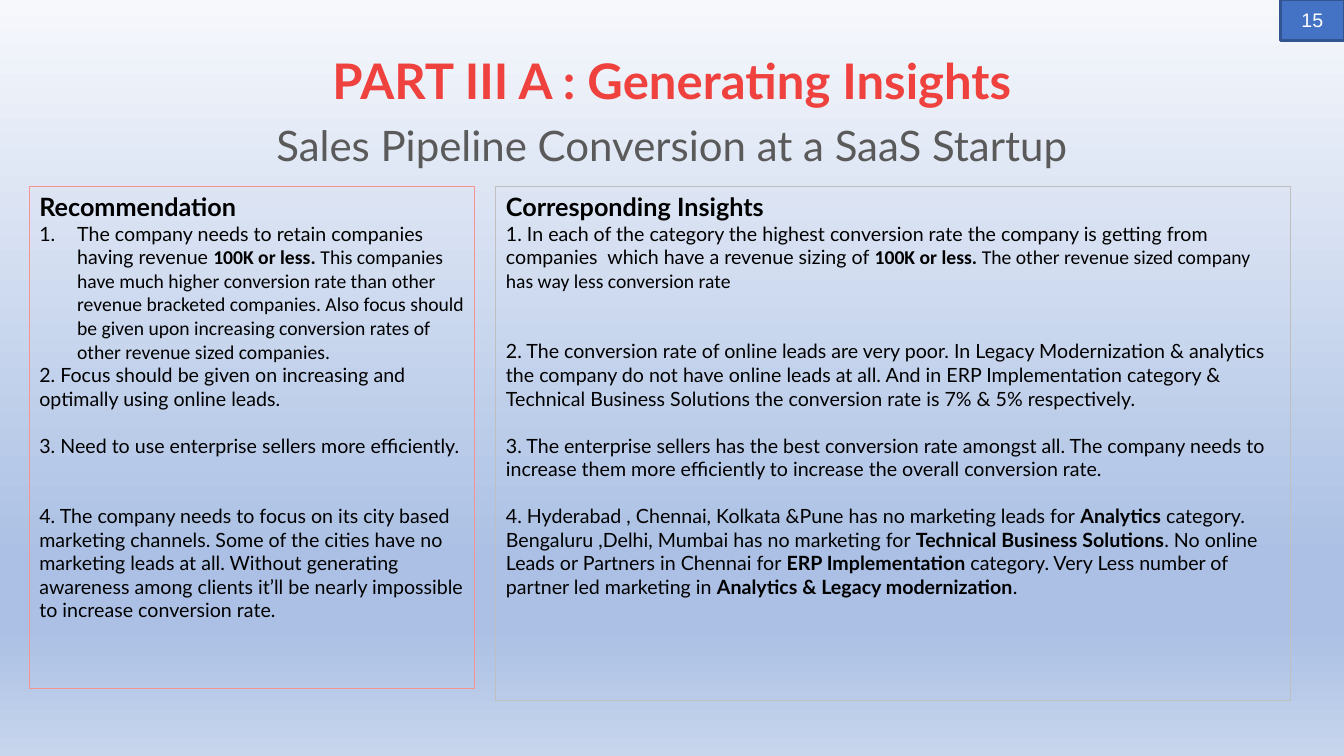
from copy import deepcopy

from lxml.etree import SubElement
from pptx import Presentation
from pptx.dml.color import RGBColor
from pptx.enum.shapes import MSO_SHAPE
from pptx.enum.text import MSO_ANCHOR as Anchor, MSO_AUTO_SIZE as AutoSize, PP_ALIGN as Align
from pptx.oxml.ns import qn
from pptx.util import Pt

RED = RGBColor(0xEF, 0x41, 0x3D)
PALE_RED = RGBColor(0xF6, 0x94, 0x92)
GRAY = RGBColor(0x5A, 0x5A, 0x5A)
PALE_GRAY = RGBColor(0xBF, 0xBF, 0xBF)
BLUE = RGBColor(0x44, 0x72, 0xC4)
DARK_BLUE = RGBColor(0x32, 0x54, 0x91)
BLACK = RGBColor(0, 0, 0)
WHITE = RGBColor(0xFF, 0xFF, 0xFF)
SKY_STOPS = [
    (0, RGBColor(0xF6, 0xF8, 0xFC)),
    (0.74, RGBColor(0xAB, 0xC0, 0xE4)),
    (0.83, RGBColor(0xAB, 0xC0, 0xE4)),
    (1, RGBColor(0xC7, 0xD5, 0xED)),
]
LATO, CALIBRI, ARIAL = "Lato", "Calibri", "Arial"
BODY_SIZE = 14
LINE_GAP = 16.8

# Each item: blank lines above, numbered by the list or not, spans of (text, bold, font).
RECOMMENDATIONS = [
    (0, True, [
        ("The company needs to retain companies having revenue ", False, LATO),
        ("100K or less. ", True, CALIBRI),
        ("This companies have much higher conversion rate than other revenue bracketed companies. "
         "Also focus should be given upon increasing conversion rates of other revenue sized "
         "companies.", False, CALIBRI),
    ]),
    (0, False, [("2. Focus should be given on increasing and optimally using online leads.",
                 False, LATO)]),
    (1, False, [("3. Need to use enterprise sellers more efficiently.", False, LATO)]),
    (2, False, [("4. The company needs to focus on its city based marketing channels. Some of the "
                 "cities have no marketing leads at all. Without generating awareness among "
                 "clients it’ll be nearly impossible to increase conversion rate.", False, LATO)]),
]
INSIGHTS = [
    (0, False, [
        ("1. In each of the category the highest conversion rate the company is getting from "
         "companies  which have a revenue sizing of ", False, LATO),
        ("100K or less. ", True, CALIBRI),
        ("The other revenue sized company has way less conversion rate", False, CALIBRI),
    ]),
    (2, False, [("2. The conversion rate of online leads are very poor. In Legacy Modernization & "
                 "analytics the company do not have online leads at all. And in ERP Implementation "
                 "category & Technical Business Solutions the conversion rate is 7% & 5% "
                 "respectively.", False, LATO)]),
    (1, False, [("3. The enterprise sellers has the best conversion rate amongst all. The company "
                 "needs to increase them more efficiently to increase the overall conversion rate.",
                 False, LATO)]),
    (1, False, [
        ("4. Hyderabad , Chennai, Kolkata &Pune has no marketing leads for ", False, LATO),
        ("Analytics", True, LATO),
        (" category. Bengaluru ,Delhi, Mumbai has no marketing for ", False, LATO),
        ("Technical Business Solutions", True, LATO),
        (". No online Leads or Partners in Chennai for ", False, LATO),
        ("ERP Implementation ", True, LATO),
        ("category. Very Less number of partner led marketing in ", False, LATO),
        ("Analytics & Legacy modernization", True, LATO),
        (".", False, LATO),
    ]),
]


def place(shape, left, top, width, height):
    """Move and size a shape, in points."""
    shape.left, shape.top = Pt(left), Pt(top)
    shape.width, shape.height = Pt(width), Pt(height)


def style(font, name, size, color, bold=False):
    """Set the look of a font."""
    font.name, font.size, font.bold = name, Pt(size), bold
    font.color.rgb = color


def set_bullet(para, numbered):
    """Number a paragraph with a hanging indent, or clear its bullet."""
    properties = para._p.get_or_add_pPr()
    indent = Pt(27) if numbered else 0
    properties.set("marL", str(indent))
    properties.set("indent", str(-indent))
    if numbered:
        SubElement(properties, qn("a:buFont"), typeface="+mj-lt")
        SubElement(properties, qn("a:buAutoNum"), type="arabicPeriod")
    else:
        SubElement(properties, qn("a:buNone"))


def paint_background(slide):
    """Fill the slide with the vertical sky gradient."""
    fill = slide.background.fill
    fill.gradient()
    fill.gradient_angle = 270
    stop_list = slide.element.find(".//" + qn("a:gsLst"))
    while len(stop_list) < len(SKY_STOPS):
        stop_list.append(deepcopy(stop_list[0]))
    for stop, (position, color) in zip(fill.gradient_stops, SKY_STOPS):
        stop.position = position
        stop.color.rgb = color


def write_title(title):
    """Write the heading and the subheading in the title."""
    place(title, 66, 29, 828, 104)
    frame = title.text_frame
    frame.auto_size, frame.vertical_anchor = AutoSize.NONE, Anchor.MIDDLE
    frame.text = "PART III A : Generating Insights\nSales Pipeline Conversion at a SaaS Startup"
    heading, subheading = frame.paragraphs
    for para in (heading, subheading):
        para.alignment, para.line_spacing = Align.CENTER, 0.9
    style(heading.font, LATO, 35, RED, True)
    style(subheading.font, LATO, 30, GRAY)
    subheading.space_before = Pt(10.8)


def write_panel(panel, bounds, line_color, heading, items):
    """Write an outlined panel with a heading and its items."""
    place(panel, *bounds)
    panel.line.color.rgb, panel.line.width = line_color, Pt(0.75)
    frame = panel.text_frame
    frame.auto_size, frame.vertical_anchor = AutoSize.NONE, Anchor.TOP
    first = frame.paragraphs[0]
    first.text, first.space_before = heading, Pt(0)
    set_bullet(first, False)
    style(first.font, LATO, 18, BLACK, True)
    for blank_lines, numbered, spans in items:
        para = frame.add_paragraph()
        para.space_before = Pt(blank_lines * LINE_GAP)
        set_bullet(para, numbered)
        style(para.font, LATO, BODY_SIZE, BLACK)
        for text, bold, font_name in spans:
            span = para.add_run()
            span.text = text
            if bold:
                span.font.bold = True
            if font_name != LATO:
                span.font.name = font_name


def add_page_number(slide, number):
    """Add the page number box in the top right corner."""
    box = slide.shapes.add_shape(MSO_SHAPE.RECTANGLE, Pt(914.4), 0, Pt(46), Pt(28.8))
    box.shadow.inherit = False
    box.fill.solid()
    box.fill.fore_color.rgb = BLUE
    box.line.color.rgb, box.line.width = DARK_BLUE, Pt(2)
    frame = box.text_frame
    frame.text, frame.vertical_anchor = number, Anchor.MIDDLE
    para = frame.paragraphs[0]
    para.alignment = Align.CENTER
    style(para.font, ARIAL, 14, WHITE)


def main():
    """Build the slide and save the deck."""
    deck = Presentation()
    deck.slide_width, deck.slide_height = Pt(960), Pt(540)
    slide = deck.slides.add_slide(deck.slide_layouts[3])
    paint_background(slide)
    title, left_panel, right_panel = list(slide.placeholders)[:3]
    write_title(title)
    write_panel(left_panel, (20.9, 133.2, 318.2, 358.6), PALE_RED,
                "Recommendation", RECOMMENDATIONS)
    write_panel(right_panel, (354.2, 133.2, 567.4, 367.2), PALE_GRAY,
                "Corresponding Insights", INSIGHTS)
    add_page_number(slide, "15")
    deck.save("out.pptx")


if __name__ == "__main__":
    main()
